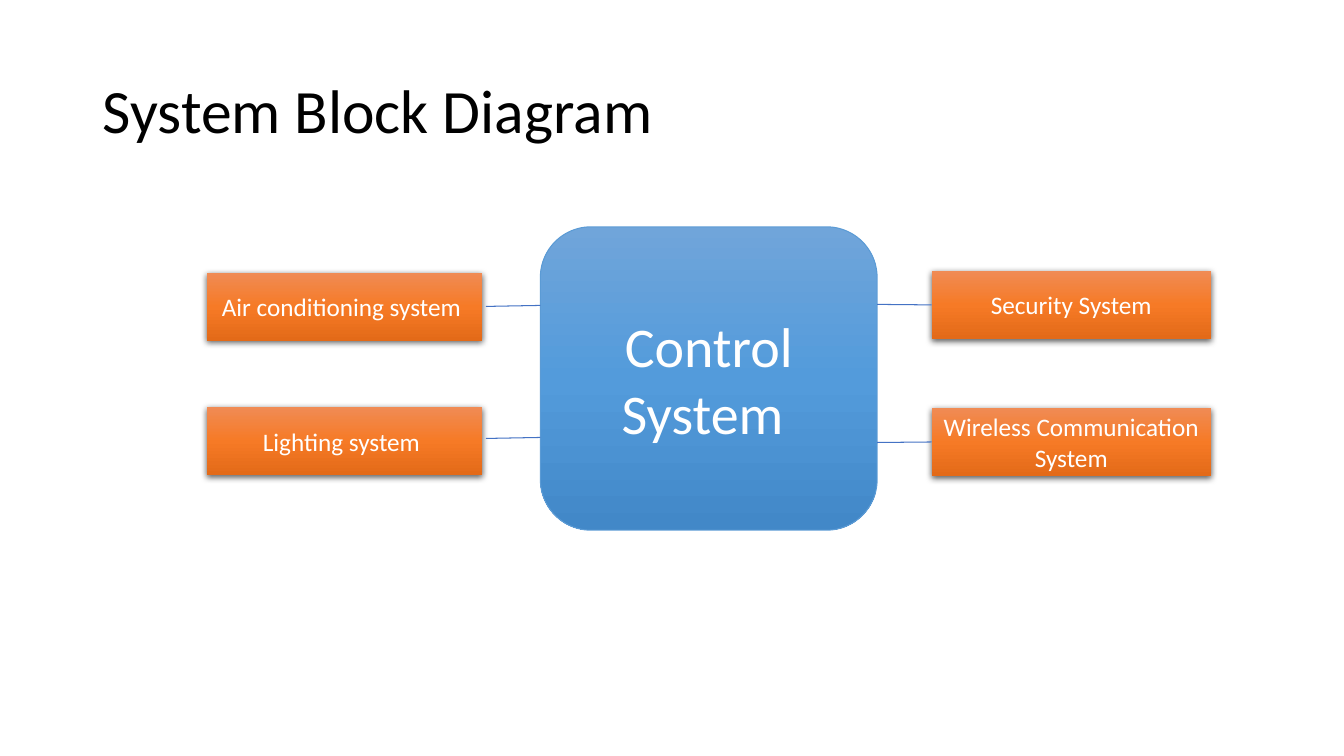
import copy
from dataclasses import dataclass

import lxml.etree
import pptx
import pptx.dml.color
import pptx.enum.shapes
import pptx.enum.text
import pptx.oxml
import pptx.oxml.ns
import pptx.util
from pptx.util import Inches

SHAPE = pptx.enum.shapes.MSO_SHAPE
ALIGN = pptx.enum.text.PP_ALIGN
qn = pptx.oxml.ns.qn


@dataclass(frozen=True)
class Theme:
    font: str = "Calibri"
    title_size: int = 44
    control_size: int = 40
    module_size: int = 18
    title_color: str = "000000"
    block_text: str = "FFFFFF"
    control_fill: tuple = ("70A5DA", "539BDB", "4288C8")
    control_line: str = "5B9BD5"
    module_fill: tuple = ("F08B54", "F67A26", "E36A18")
    link: str = "4472C4"
    line_width: float = 0.75


THEME = Theme()


def rgb(value):
    return pptx.dml.color.RGBColor.from_string(value)


def write(shape, text, size, color, align):
    frame = shape.text_frame
    frame.word_wrap = True
    frame.vertical_anchor = pptx.enum.text.MSO_ANCHOR.MIDDLE
    paragraph = frame.paragraphs[0]
    paragraph.text = text
    paragraph.alignment = align
    paragraph.font.name = THEME.font
    paragraph.font.size = pptx.util.Pt(size)
    paragraph.font.color.rgb = rgb(color)
    return paragraph


def fill_downwards(shape, colors):
    """Fill with evenly spaced gradient stops from top to bottom."""
    shape.fill.gradient()
    shape.fill.gradient_angle = 270
    stop_list = shape.element.spPr.find(".//" + qn("a:gsLst"))
    while len(stop_list) < len(colors):
        stop_list.append(copy.deepcopy(stop_list[-1]))
    for index, (stop, color) in enumerate(zip(shape.fill.gradient_stops, colors)):
        stop.position = index / (len(colors) - 1)
        stop.color.rgb = rgb(color)


def add_title(slide, box):
    title = slide.shapes.title
    title.left, title.top, title.width, title.height = map(Inches, box)
    paragraph = write(title, "System Block Diagram", THEME.title_size,
                      THEME.title_color, ALIGN.LEFT)
    paragraph.line_spacing = 0.9


def add_block(slide, preset, box, text, size, colors):
    block = slide.shapes.add_shape(preset, *map(Inches, box))
    fill_downwards(block, colors)
    block.shadow.inherit = False
    write(block, text, size, THEME.block_text, ALIGN.CENTER)
    return block


def add_control(slide, box):
    control = add_block(slide, SHAPE.ROUNDED_RECTANGLE, box, "Control System ",
                        THEME.control_size, THEME.control_fill)
    control.line.color.rgb = rgb(THEME.control_line)
    control.line.width = pptx.util.Pt(THEME.line_width)


def add_module(slide, box, text):
    module = add_block(slide, SHAPE.RECTANGLE, box, text,
                       THEME.module_size, THEME.module_fill)
    module.line.fill.background()
    module.element.spPr.find(qn("a:effectLst")).append(pptx.oxml.parse_xml(
        f'<a:outerShdw {pptx.oxml.ns.nsdecls("a")} blurRad="57150" dist="19050"'
        ' dir="5400000" algn="ctr" rotWithShape="0"><a:srgbClr val="000000">'
        '<a:alpha val="63000"/></a:srgbClr></a:outerShdw>'))
    return module


def add_link(slide, start, end):
    link = slide.shapes.add_connector(
        pptx.enum.shapes.MSO_CONNECTOR.STRAIGHT, *map(Inches, start + end))
    link.line.color.rgb = rgb(THEME.link)
    link.line.width = pptx.util.Pt(THEME.line_width)
    lxml.etree.SubElement(link.element.spPr, qn("a:effectLst"))
    return link


def add_diagram(slide, box):
    """Place the control block in the middle and two modules on each side."""
    left, top, width, height = box
    control_left, control_width = left + 3.31, 3.34
    control_right = control_left + control_width
    module_height, left_width, right_width = 0.67, 2.73, 2.77
    right_edge = left + width - right_width

    add_control(slide, (control_left, top, control_width, height))
    for text, offset, link_offset in (("Air conditioning system ", 0.46, 0.79),
                                      ("Lighting system ", 1.79, 2.1)):
        add_module(slide, (left, top + offset, left_width, module_height), text)
        add_link(slide, (left + left_width + 0.04, top + link_offset),
                 (control_left, top + link_offset - 0.01))
    for text, offset, link_offset in (("Security System", 0.44, 0.77),
                                      ("Wireless Communication System", 1.8, 2.14)):
        module = add_module(
            slide, (right_edge, top + offset, right_width, module_height), text)
        link = add_link(slide, (control_right, top + link_offset),
                        (right_edge, top + offset + module_height / 2))
        link.end_connect(module, 1)


def main():
    deck = pptx.Presentation()
    deck.slide_width, deck.slide_height = Inches(13.33), Inches(7.5)
    slide = deck.slides.add_slide(deck.slide_layouts[5])
    add_title(slide, (0.92, 0.4, 11.5, 1.45))
    add_diagram(slide, (2.05, 2.25, 9.96, 3.01))
    deck.save("out.pptx")


if __name__ == "__main__":
    main()
